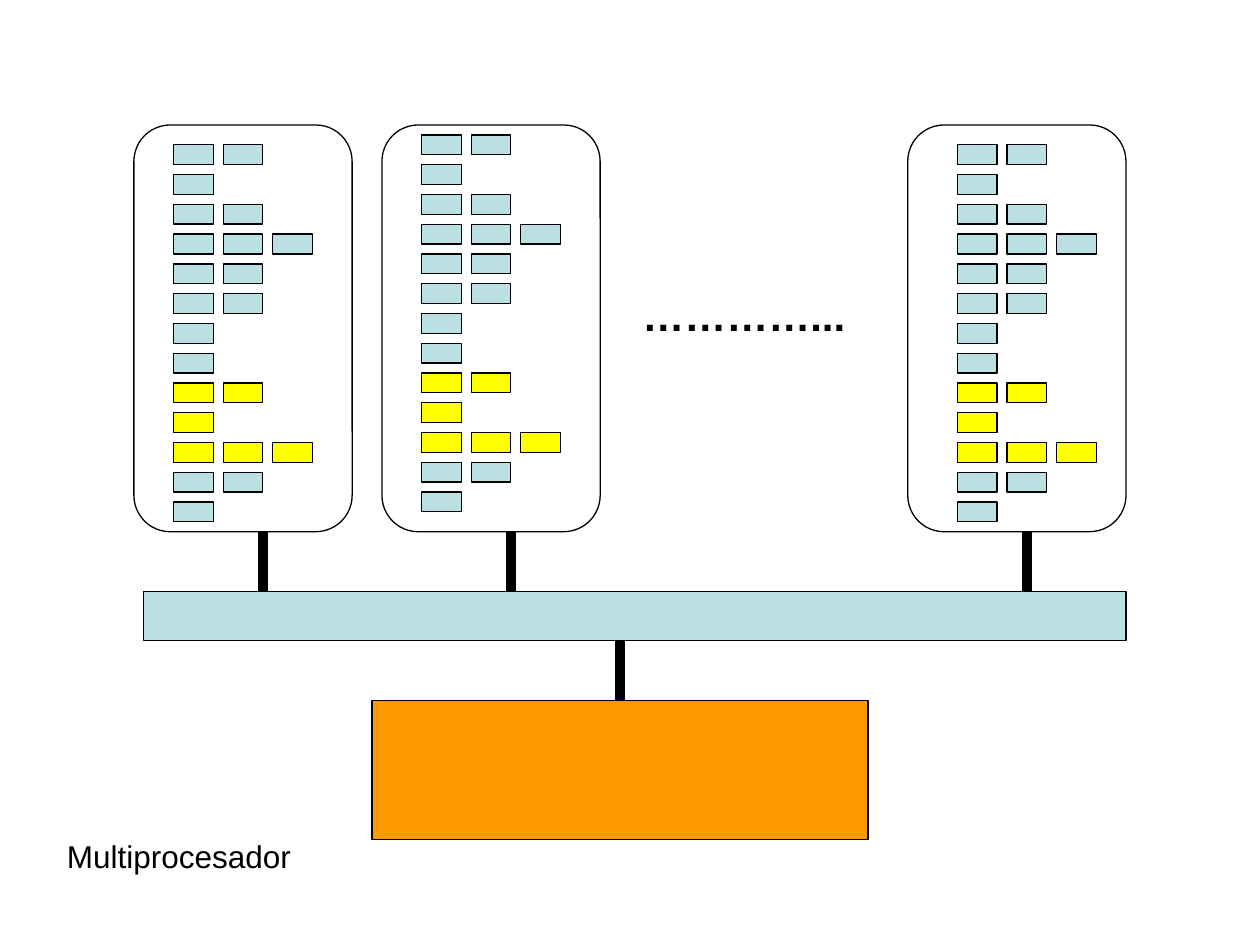
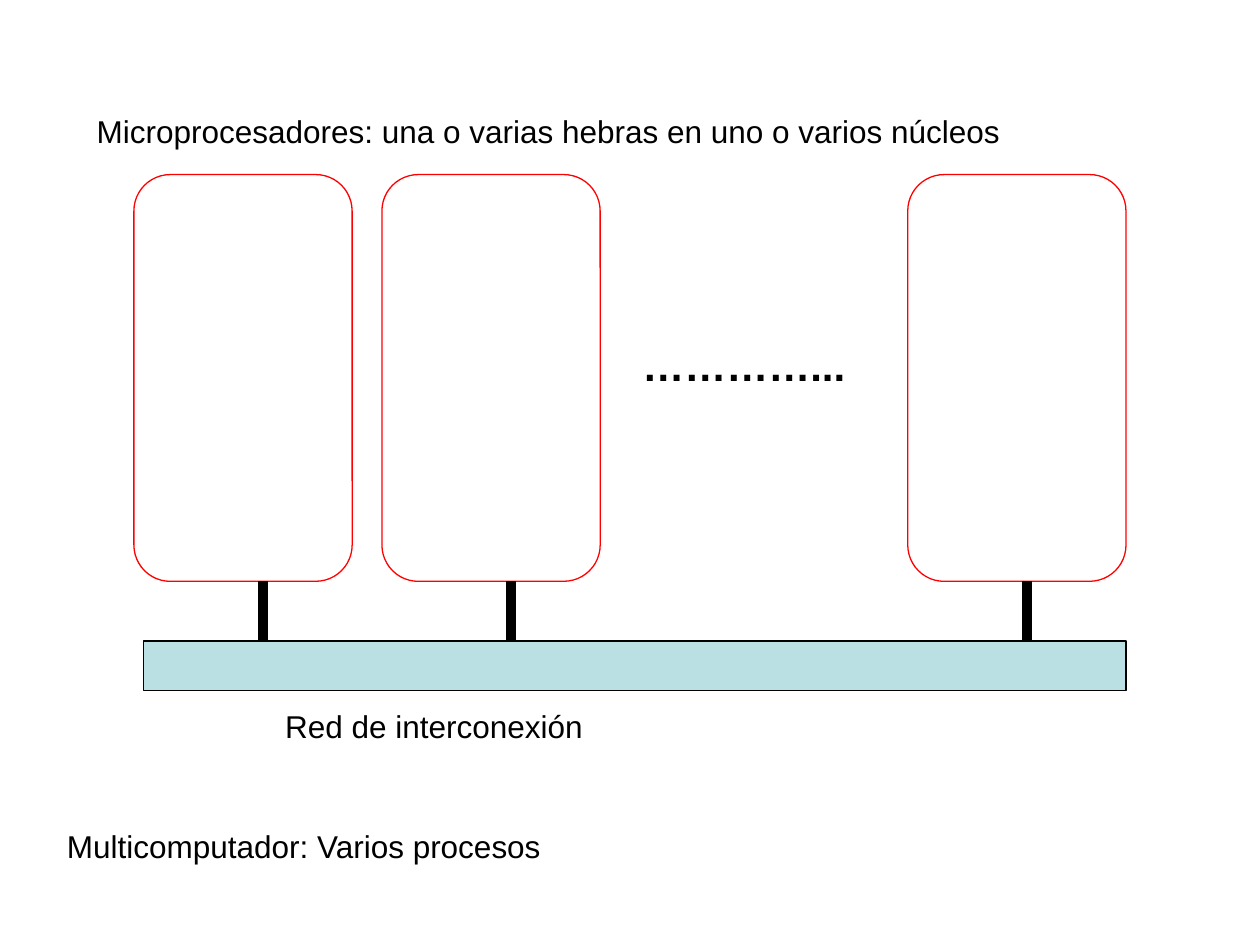
from dataclasses import dataclass

from lxml import etree
from pptx import Presentation
from pptx import util as u
from pptx.dml.color import RGBColor
from pptx.enum import shapes, text
from pptx.oxml.ns import qn

BLACK = RGBColor(0x00, 0x00, 0x00)
RED = RGBColor(0xFF, 0x00, 0x00)
AQUA = RGBColor(0xBB, 0xE0, 0xE3)
YELLOW = RGBColor(0xFF, 0xFF, 0x00)
ORANGE = RGBColor(0xFF, 0x99, 0x00)

RECT = shapes.MSO_SHAPE.RECTANGLE
ROUNDED = shapes.MSO_SHAPE.ROUNDED_RECTANGLE

GRID = u.Cm(1)
NODE_COLS, NODE_ROWS = 4.4, 8.2
LINK_ROWS = 1.2
BUS_COL, BUS_COLS, BUS_ROWS = 2.9, 19.8, 1
CELL_COLS, CELL_ROWS = 0.8, 0.4
CELL_STEP_X, CELL_STEP_Y = 1, 0.6

THREAD_ROWS = (
    [(count, AQUA) for count in (2, 1, 2, 3, 2, 2, 1, 1)]
    + [(count, YELLOW) for count in (2, 1, 3)]
    + [(count, AQUA) for count in (2, 1)]
)

CAPTION = {"size": u.Pt(18), "bold": False}
ELLIPSIS = {"size": u.Pt(24), "bold": True}


@dataclass
class Node:
    col: float
    link: float
    threads_col: float
    threads_row: float


NODES = [
    Node(2.7, 2.6, 0.8, 0.4),
    Node(7.7, 2.6, 0.8, 0.2),
    Node(18.3, 2.4, 1.0, 0.4),
]


def span(*units):
    return [round(unit * GRID) for unit in units]


def add_block(slide, kind, place, fill=None, outline=BLACK):
    block = slide.shapes.add_shape(kind, *span(*place))
    block.shadow.inherit = False
    if fill is None:
        block.fill.background()
    else:
        block.fill.solid()
        block.fill.fore_color.rgb = fill
    block.line.color.rgb = outline
    block.line.width = u.Pt(0.75)


def add_link(slide, col, row):
    link = slide.shapes.add_connector(
        shapes.MSO_CONNECTOR.STRAIGHT, *span(col, row, col, row + LINK_ROWS))
    link.line.color.rgb = BLACK
    link.line.width = u.Pt(6)
    etree.SubElement(link._element.spPr, qn("a:effectLst"))


def add_label(slide, wording, place, style=CAPTION, gap=11.2):
    frame = slide.shapes.add_textbox(*span(*place)).text_frame
    frame.word_wrap = True
    frame.auto_size = text.MSO_AUTO_SIZE.SHAPE_TO_FIT_TEXT
    paragraph = frame.paragraphs[0]
    paragraph.space_before = u.Pt(gap)
    run = paragraph.add_run()
    run.text = wording
    run.font.name = "Arial"
    run.font.color.rgb = BLACK
    for attribute, value in style.items():
        setattr(run.font, attribute, value)


def add_threads(slide, left, top):
    for row, (count, fill) in enumerate(THREAD_ROWS):
        for col in range(count):
            place = (left + col * CELL_STEP_X, top + row * CELL_STEP_Y,
                     CELL_COLS, CELL_ROWS)
            add_block(slide, RECT, place, fill)


def add_network(slide, top, outline):
    link_row = top + NODE_ROWS
    bus_row = link_row + LINK_ROWS
    for node in NODES:
        add_block(slide, ROUNDED, (node.col, top, NODE_COLS, NODE_ROWS),
                  outline=outline)
    add_label(slide, "…………...", (12.7, top + 3.2, 4.8, 1.27), ELLIPSIS, gap=15)
    add_block(slide, RECT, (BUS_COL, bus_row, BUS_COLS, BUS_ROWS), AQUA)
    for node in NODES:
        add_link(slide, node.col + node.link, link_row)
    return bus_row + BUS_ROWS


def build_multiprocessor(slide):
    top = 2.52
    bus_bottom = add_network(slide, top, BLACK)
    add_block(slide, RECT, (7.5, bus_bottom + LINK_ROWS, 10, 2.8), ORANGE)
    add_link(slide, 12.5, bus_bottom)
    add_label(slide, "Multiprocesador", (1.1, 16.74, 7.6, 1.02))
    for node in NODES:
        add_threads(slide, node.col + node.threads_col, top + node.threads_row)


def build_multicomputer(slide):
    bus_bottom = add_network(slide, 3.52, RED)
    add_label(slide, "Multicomputador: Varios procesos", (1.1, 16.54, 11.2, 1.02))
    add_label(slide, "Red de interconexión", (5.5, bus_bottom + 0.2, 7.6, 1.02))
    add_label(slide, "Microprocesadores: una o varias hebras en uno o varios núcleos",
              (1.7, 2.13, 19.6, 1.02))


def main():
    deck = Presentation()
    deck.slide_width, deck.slide_height = u.Inches(10), u.Inches(7.5)
    blank = deck.slide_layouts[6]
    for build in (build_multiprocessor, build_multicomputer):
        build(deck.slides.add_slide(blank))
    deck.save("out.pptx")


if __name__ == "__main__":
    main()
